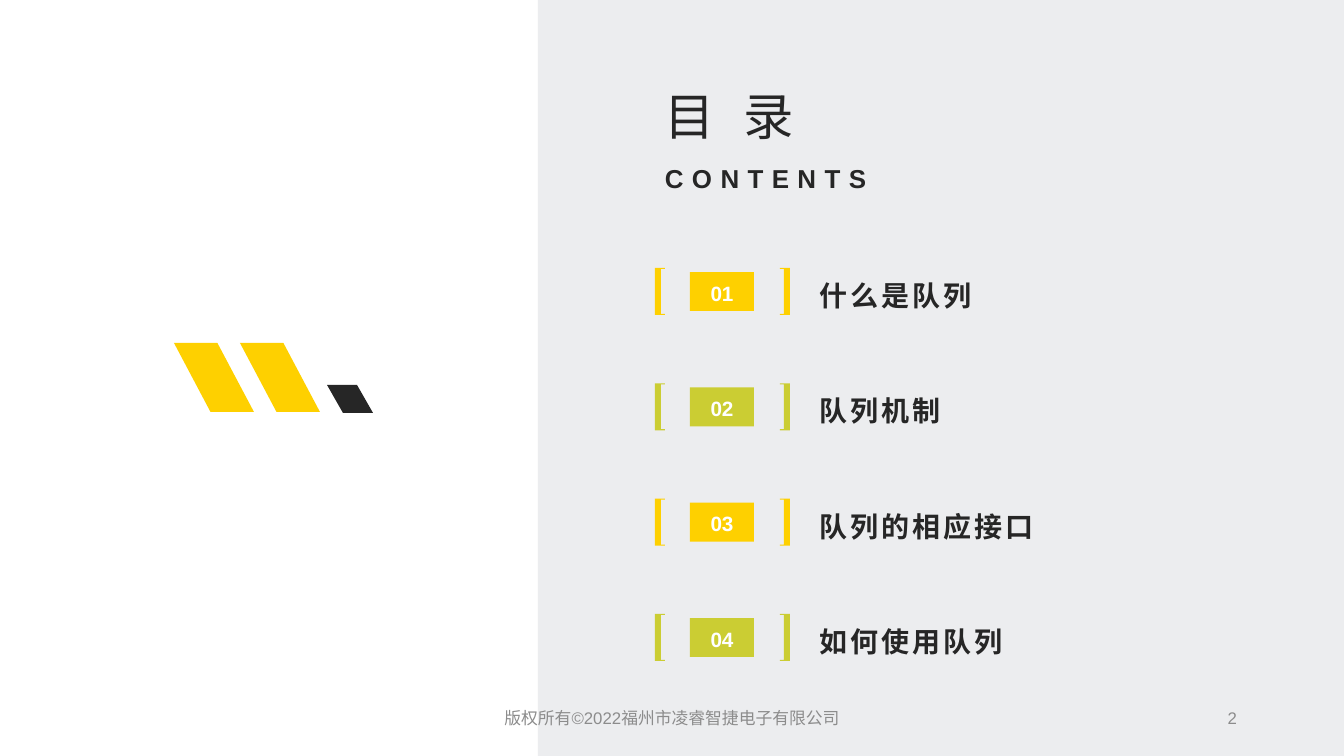
from pptx import Presentation
from pptx.dml.color import RGBColor
from pptx.enum.shapes import MSO_SHAPE as SHAPE
from pptx.enum.text import MSO_ANCHOR as ANCHOR, PP_ALIGN as ALIGN
from pptx.util import Pt

# Content
TITLE = "目 录"
SUBTITLE = "CONTENTS"
TOPICS = ["什么是队列", "队列机制", "队列的相应接口", "如何使用队列"]
COPYRIGHT = "版权所有©2022福州市凌睿智捷电子有限公司"
PAGE = "2"

THEME = {
    "font": "Arial",
    "panel": "ECEDEF", "ink": "262626", "white": "FFFFFF", "muted": "8C8C8C",
    "yellow": "FED000", "lime": "CBCD33",
    "title": 36, "subtitle": 18.5, "topic": 20, "badge": 14.8, "footer": 12,
}

# Geometry in px
W, H = 1344, 756
EMU_PER_PX = 12192000 / W
PANEL_X = 538
FIRST_Y, LAST_Y = 268, 614
BRACKET_LEFT, BRACKET_RIGHT = 655, 790
BRACKET_H, ARM, BAR, EDGE = 47, 10, 6, 1
# Slanted marks: left, top, width, height, slant, colour
MARKS = [
    (174, 343, 80, 69, 0.53, "yellow"),
    (240, 343, 80, 69, 0.53, "yellow"),
    (327, 385, 46, 28, 0.57, "ink"),
]


def px(n):
    return round(n * EMU_PER_PX)


def paint(sp, color):
    sp.shadow.inherit = False
    sp.fill.solid()
    sp.fill.fore_color.rgb = RGBColor.from_string(THEME[color])
    sp.line.fill.background()


def add_block(slide, kind, x, y, w, h, color):
    sp = slide.shapes.add_shape(kind, px(x), px(y), px(w), px(h))
    paint(sp, color)
    return sp


def write(sp, text, size, color, bold=False, align=ALIGN.LEFT,
          anchor=ANCHOR.MIDDLE, spacing=1.0, tracking=0):
    tf = sp.text_frame
    tf.word_wrap = True
    tf.vertical_anchor = anchor
    tf.text = text
    p = tf.paragraphs[0]
    p.alignment = align
    p.line_spacing = spacing
    r = p.runs[0]
    r.font.name = THEME["font"]
    r.font.size = Pt(THEME[size])
    r.font.bold = bold
    r.font.color.rgb = RGBColor.from_string(THEME[color])
    if tracking:
        r.font._element.set("spc", str(tracking * 100))


def add_label(slide, x, y, w, h, text, size, color, **style):
    box = slide.shapes.add_textbox(px(x), px(y), px(w), px(h))
    write(box, text, size, color, **style)


def add_bracket(slide, x, y, direction, color):
    """Draw a square bracket from its outer edge x; direction 1 opens right."""
    arm, bar = x + direction * ARM, x + direction * BAR
    bottom = y + BRACKET_H
    outline = [(arm, y), (arm, y + EDGE), (bar, y + EDGE), (bar, bottom - EDGE),
               (arm, bottom - EDGE), (arm, bottom), (x, bottom)]
    fb = slide.shapes.build_freeform(px(x), px(y), scale=1.0)
    fb.add_line_segments([(px(a), px(b)) for a, b in outline], close=True)
    paint(fb.convert_to_shape(), color)


def main():
    prs = Presentation()
    prs.slide_width, prs.slide_height = px(W), px(H)
    slide = prs.slides.add_slide(prs.slide_layouts[6])

    # Slanted marks and right panel
    for x, y, w, h, slant, color in MARKS:
        sp = add_block(slide, SHAPE.PARALLELOGRAM, x, y, w, h, color)
        sp.adjustments[0] = slant
        sp._element.spPr.xfrm.set("flipV", "1")
    add_block(slide, SHAPE.RECTANGLE, PANEL_X, 0, W - PANEL_X, H, "panel")

    # Numbered topics
    pitch = (LAST_Y - FIRST_Y) / (len(TOPICS) - 1)
    for i, topic in enumerate(TOPICS):
        y = FIRST_Y + i * pitch
        color = ("yellow", "lime")[i % 2]
        add_label(slide, 810, y - 21, 361, 90, topic, "topic", "ink",
                  bold=True, spacing=1.2, tracking=2)
        add_bracket(slide, BRACKET_LEFT, y, 1, color)
        add_bracket(slide, BRACKET_RIGHT, y, -1, color)
        badge = add_block(slide, SHAPE.RECTANGLE, 690, y + 4, 64, 39, color)
        write(badge, f"{i + 1:02d}", "badge", "white", bold=True,
              align=ALIGN.CENTER, spacing=1.1)

    # Heading
    add_label(slide, 655, 155, 363, 46, SUBTITLE, "subtitle", "ink", bold=True,
              anchor=ANCHOR.TOP, spacing=1.1, tracking=6)
    add_label(slide, 655, 74, 363, 78, TITLE, "title", "ink",
              anchor=ANCHOR.TOP, spacing=1.1, tracking=6)

    # Footer
    add_label(slide, 950, 700, 297, 35, PAGE, "footer", "muted", align=ALIGN.RIGHT)
    add_label(slide, 454, 700, 436, 35, COPYRIGHT, "footer", "muted",
              align=ALIGN.CENTER)

    prs.save("out.pptx")


if __name__ == "__main__":
    main()
